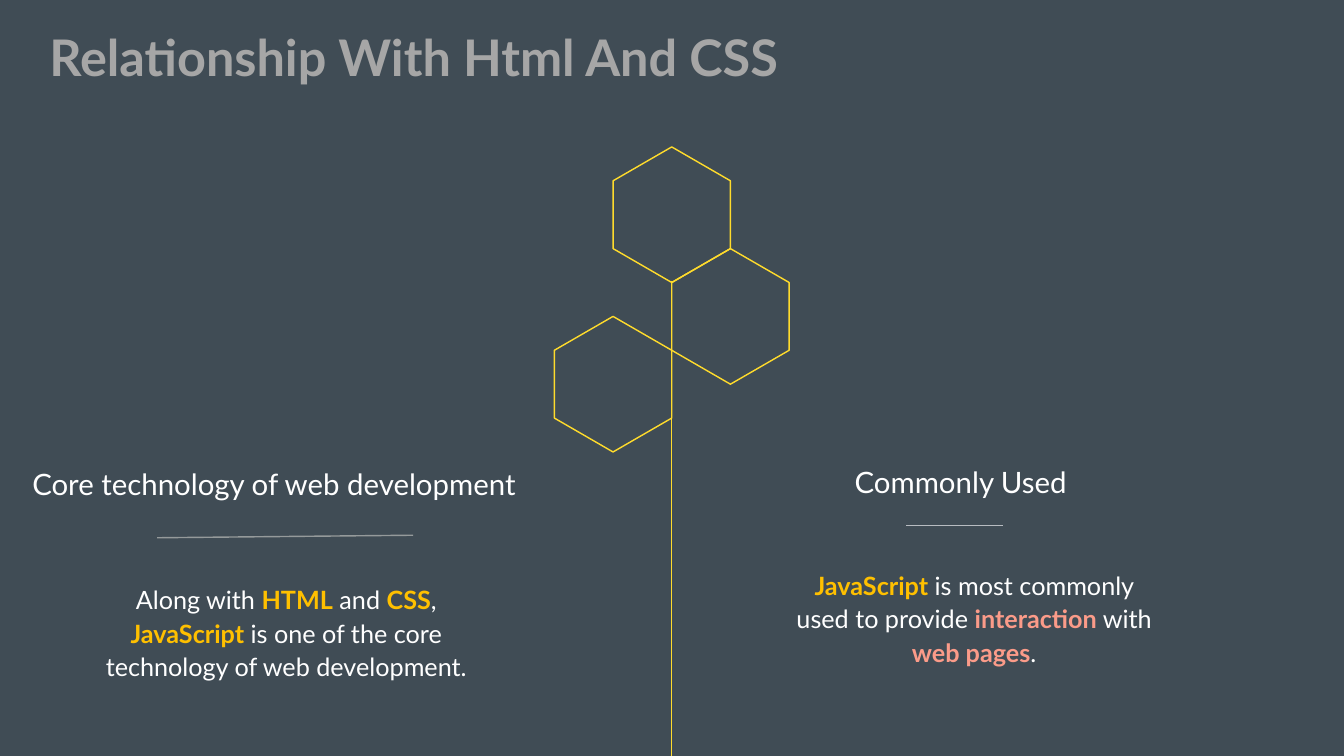
import dataclasses
import math

import lxml.etree
import pptx
import pptx.dml.color
import pptx.enum.shapes
import pptx.enum.text
import pptx.oxml.ns
import pptx.util

Inches = pptx.util.Inches
qn = pptx.oxml.ns.qn
Align = pptx.enum.text.PP_ALIGN


@dataclasses.dataclass(frozen=True)
class Theme:
    """Colours, font and sizes of the slide."""

    font: str = "Lato"
    background: str = "404C55"
    title: str = "A6A6A6"
    text: str = "FFFFFF"
    technology: str = "FFC000"
    emphasis: str = "FB9B89"
    accent: str = "FFDB2C"
    left_rule: str = "A6AAA9"
    right_rule: str = "B8BCC1"
    title_size: int = 72
    heading_size: int = 42
    body_size: int = 36
    line_width: int = 2


class SlideBuilder:
    """Holds the theme and the current slide and adds its elements."""

    def __init__(self, slide, theme):
        """Store the slide and theme and paint the background."""
        self.slide = slide
        self.theme = theme
        fill = slide.background.fill
        fill.solid()
        fill.fore_color.rgb = self.color(theme.background)

    def color(self, value):
        """Turn a hex string into a colour."""
        return pptx.dml.color.RGBColor.from_string(value)

    def add_runs(self, paragraph, runs, size):
        """Add (text, colour, bold) runs to a paragraph."""
        for text, color, bold in runs:
            run = paragraph.add_run()
            run.text = text
            run.font.name = self.theme.font
            run.font.size = pptx.util.Pt(size)
            run.font.bold = bold
            run.font.color.rgb = self.color(color)

    def set_frame(self, shape, inset, anchor):
        """Set wrapping, margins and anchor, and return the first paragraph."""
        frame = shape.text_frame
        frame.word_wrap = True
        frame.auto_size = pptx.enum.text.MSO_AUTO_SIZE.NONE
        frame.vertical_anchor = anchor
        frame.margin_left = frame.margin_right = Inches(inset)
        frame.margin_top = frame.margin_bottom = Inches(inset)
        return frame.paragraphs[0]

    def title(self, text, left, top, width, height):
        """Move and fill the title placeholder."""
        shape = self.slide.shapes.title
        shape.left, shape.top = Inches(left), Inches(top)
        shape.width, shape.height = Inches(width), Inches(height)
        paragraph = self.set_frame(shape, 0.08, pptx.enum.text.MSO_ANCHOR.MIDDLE)
        paragraph.alignment = Align.LEFT
        self.add_runs(paragraph, [(text, self.theme.title, True)], self.theme.title_size)

    def text_box(self, runs, size, left, top, width, height, align=Align.LEFT, spacing=1.0):
        """Add a text box with one paragraph."""
        shape = self.slide.shapes.add_textbox(
            Inches(left), Inches(top), Inches(width), Inches(height))
        paragraph = self.set_frame(shape, 0, pptx.enum.text.MSO_ANCHOR.TOP)
        paragraph.alignment = align
        paragraph.line_spacing = spacing
        self.add_runs(paragraph, runs, size)

    def heading(self, text, left, top, width):
        """Add a column heading."""
        runs = [(text, self.theme.text, False)]
        self.text_box(runs, self.theme.heading_size, left, top, width, 0.71)

    def body(self, runs, left, top, width):
        """Add a centred column text."""
        self.text_box(runs, self.theme.body_size, left, top, width, 1.95, Align.CENTER, 1.1)

    def hexagon(self, center_x, center_y, radius):
        """Add an outlined hexagon standing on a corner."""
        points = []
        for corner in range(6):
            angle = math.radians(60 * corner - 90)
            points.append((Inches(center_x + radius * math.cos(angle)),
                           Inches(center_y + radius * math.sin(angle))))
        builder = self.slide.shapes.build_freeform(*points[0])
        builder.add_line_segments(points[1:], close=True)
        shape = builder.convert_to_shape()
        shape.shadow.inherit = False
        shape.fill.background()
        shape.line.color.rgb = self.color(self.theme.accent)
        shape.line.width = pptx.util.Pt(self.theme.line_width)

    def line(self, start, end, color, opacity=100):
        """Add a straight line between two points."""
        connector = self.slide.shapes.add_connector(
            pptx.enum.shapes.MSO_CONNECTOR.STRAIGHT,
            *(Inches(value) for value in start + end))
        connector.line.color.rgb = self.color(color)
        connector.line.width = pptx.util.Pt(self.theme.line_width)
        properties = connector._element.spPr
        if opacity < 100:
            for node in properties.iter(qn("a:srgbClr")):
                lxml.etree.SubElement(node, qn("a:alpha"), val=str(opacity * 1000))
        lxml.etree.SubElement(properties, qn("a:effectLst"))


def main():
    """Build and save the slide."""
    presentation = pptx.Presentation()
    presentation.slide_width = Inches(26.67)
    presentation.slide_height = Inches(15)
    slide = presentation.slides.add_slide(presentation.slide_layouts[5])
    theme = Theme()
    builder = SlideBuilder(slide, theme)

    def plain(text):
        return text, theme.text, False

    def technology(text):
        return text, theme.technology, True

    def emphasis(text):
        return text, theme.emphasis, True

    builder.title("Relationship With Html And CSS", 0.9, 0.44, 24.43, 1.37)

    middle, radius = 13.33, 1.345
    half_width = radius * math.cos(math.radians(30))
    top_center = 4.26
    builder.hexagon(middle, top_center, radius)
    builder.line((middle, 5.57), (middle, 15), theme.accent)
    builder.hexagon(middle - half_width, top_center + 2.5 * radius, radius)
    builder.hexagon(middle + half_width, top_center + 1.5 * radius, radius)

    builder.body([
        technology("JavaScript"), plain(" is most commonly used to provide "),
        emphasis("interaction"), plain(" with "), emphasis("web pages"), plain("."),
    ], 15.79, 11.26, 7.08)
    builder.heading("Commonly Used", 16.96, 9.2, 7.08)
    builder.body([
        plain("Along with "), technology("HTML"), plain(" and "), technology("CSS"),
        plain(", "), technology("JavaScript"),
        plain(" is one of the core technology of web development."),
    ], 1.87, 11.54, 7.62)
    builder.heading("Core technology of web development", 0.64, 9.24, 10.21)
    builder.line((3.12, 10.67), (8.2, 10.62), theme.left_rule, 84)
    builder.line((17.98, 10.43), (19.9, 10.43), theme.right_rule)

    presentation.save("out.pptx")


if __name__ == "__main__":
    main()
